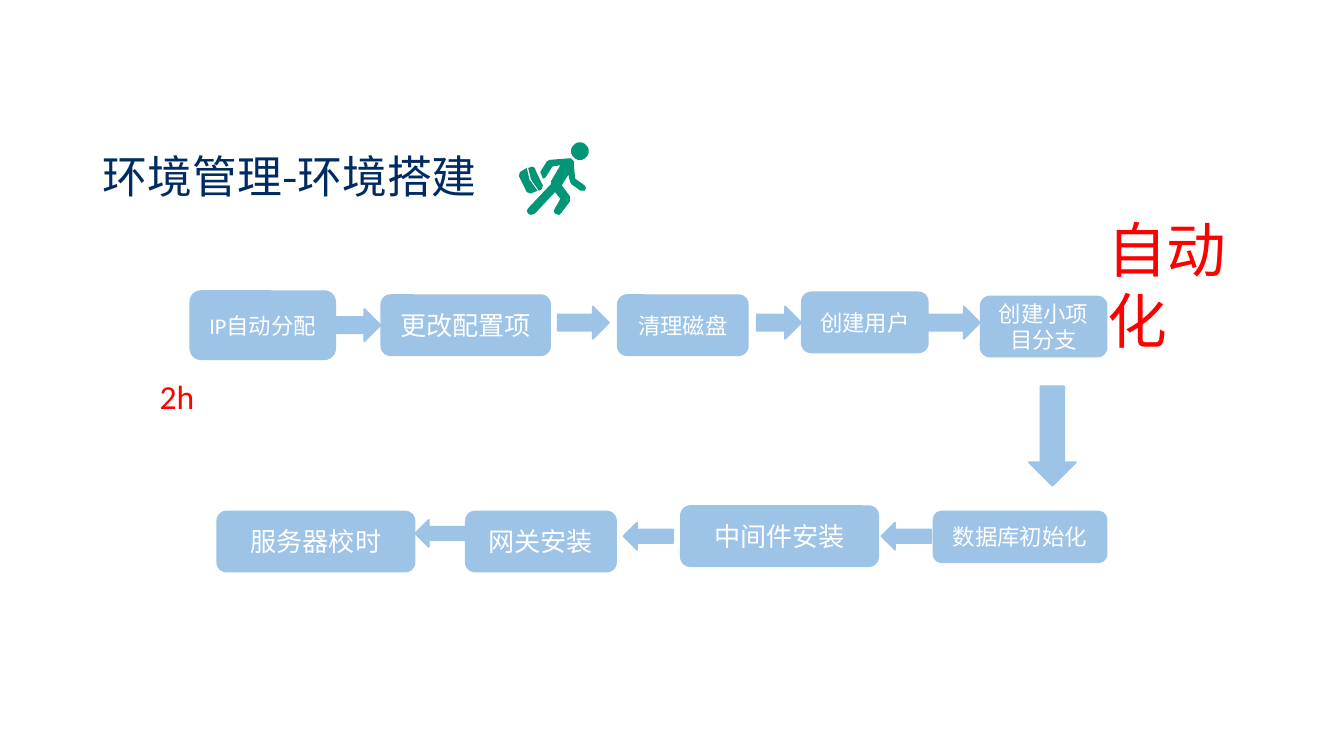
from math import cos, pi, sin

from pptx import Presentation
from pptx.dml.color import RGBColor
from pptx.enum.shapes import MSO_SHAPE
from pptx.enum.text import MSO_ANCHOR, PP_ALIGN
from pptx.util import Pt

ROUND_RECT = MSO_SHAPE.ROUNDED_RECTANGLE
RIGHT, LEFT = MSO_SHAPE.RIGHT_ARROW, MSO_SHAPE.LEFT_ARROW
MIDDLE, CENTER = MSO_ANCHOR.MIDDLE, PP_ALIGN.CENTER

NAVY = RGBColor(0x00, 0x2B, 0x62)
BLUE = RGBColor(0x9D, 0xC3, 0xE6)
GREEN = RGBColor(0x02, 0x96, 0x76)
RED = RGBColor(0xFF, 0x00, 0x00)
WHITE = RGBColor(0xFF, 0xFF, 0xFF)
BODY_FONT, TITLE_FONT = "Calibri", "Noto Sans CJK SC"

STEP_H = 33.1
# Steps: text, x, y, width, height, text size; arrows: x, y, width
TOP_STEPS = [
    ("IP自动分配", 0, 0, 78.5, 37.4, 12),
    ("更改配置项", 102.3, 2.2, 91.4, STEP_H, 14),
    ("清理磁盘", 229, 2.2, 70.6, STEP_H, 12),
    ("创建用户", 327.6, 0.7, 68.4, STEP_H, 12),
    ("创建小项目分支", 423.4, 2.9, 68.4, STEP_H, 12),
]
TOP_ARROWS = [(78.5, 10.1, 23.8), (197.3, 8.7, 27.4),
              (303.9, 8.7, 23.8), (396, 8.7, 27.4)]
BOTTOM_STEPS = [
    ("数据库初始化", 383.8, 2.9, 93.6, 28.1, 12),
    ("中间件安装", 248.4, 0, 106.6, STEP_H, 14),
    ("网关安装", 133.2, 2.9, 81.4, STEP_H, 14),
    ("服务器校时", 0, 2.9, 106.6, STEP_H, 14),
]
BOTTOM_ARROWS = [(356.4, 9.4, 26.6), (218.2, 9.4, 26.6), (106.6, 7.9, 26.6)]

# Runner outlines, in hundredths of an inch
BODY = [(23, 13), (36, 12), (39, 12), (41, 14), (41, 17), (42, 27), (49, 32),
        (50, 34), (49, 36), (46, 36), (39, 31), (38, 29), (37, 24), (32, 32),
        (38, 40), (38, 44), (32, 52), (30, 54), (27, 53), (26, 51), (27, 49),
        (31, 42), (27, 37), (12, 53), (9, 54), (7, 53), (6, 51), (7, 49),
        (24, 31), (24, 29), (31, 17), (25, 18), (20, 26), (18, 27), (16, 22),
        (21, 14)]
CASE_SIDE = [(6, 19), (8, 28), (9, 29), (14, 36), (9, 38), (6, 37), (0, 25),
             (1, 22)]
CASE_FRONT = [(7, 19), (10, 18), (12, 19), (13, 22), (16, 28), (18, 32),
              (17, 35), (15, 36), (10, 29), (9, 27)]
HEAD = [(45.5 + 6.5 * cos(i * pi / 12), 6.5 + 6.5 * sin(i * pi / 12))
        for i in range(24)]


def write(tf, text, size, color, font=BODY_FONT):
    p = tf.paragraphs[0]
    r = p.add_run()
    r.text = text
    r.font.size = Pt(size)
    r.font.name = font
    r.font.color.rgb = color
    return p


def add_text(s, box, text, size, color, font=BODY_FONT, wrap=True):
    tf = s.shapes.add_textbox(*map(Pt, box)).text_frame
    tf.word_wrap = wrap
    return tf, write(tf, text, size, color, font)


def add_block(s, kind, box):
    sp = s.shapes.add_shape(kind, *map(Pt, box))
    sp.shadow.inherit = False
    sp.fill.solid()
    sp.fill.fore_color.rgb = BLUE
    sp.line.fill.background()
    return sp


def add_step(s, box, text, size):
    tf = add_block(s, ROUND_RECT, box).text_frame
    tf.word_wrap = True
    tf.vertical_anchor = MIDDLE
    write(tf, text, size, WHITE).alignment = CENTER


def add_arrow(s, kind, box):
    sp = add_block(s, kind, box)
    sp.line.color.rgb = BLUE
    sp.line.width = Pt(1)
    return sp


def add_title(s, box):
    tf, p = add_text(s, box, "环境管理-环境搭建", 24, NAVY, TITLE_FONT)
    tf.vertical_anchor = MIDDLE
    tf.margin_left = tf.margin_right = Pt(5.4)
    tf.margin_top = tf.margin_bottom = Pt(2.7)
    p.line_spacing = 0.9


def add_runner(s, x, y):
    fb = s.shapes.build_freeform(*BODY[0], scale=Pt(0.72))
    fb.add_line_segments(BODY[1:])
    for outline in (CASE_SIDE, CASE_FRONT, HEAD):
        fb.move_to(*outline[0])
        fb.add_line_segments(outline[1:])
    sp = fb.convert_to_shape(Pt(x), Pt(y))
    sp.shadow.inherit = False
    sp.fill.solid()
    sp.fill.fore_color.rgb = GREEN
    sp.line.fill.background()


def add_flow_row(s, x, y, steps, arrows, kind, arrow_h):
    for text, dx, dy, w, h, size in steps:
        add_step(s, (x + dx, y + dy, w, h), text, size)
    for dx, dy, w in arrows:
        add_arrow(s, kind, (x + dx, y + dy, w, arrow_h))


def main():
    prs = Presentation()
    prs.slide_width, prs.slide_height = Pt(720), Pt(405)
    s = prs.slides.add_slide(prs.slide_layouts[6])

    # Heading with icon
    add_title(s, (49.7, 76.3, 624.2, 39.6))
    add_runner(s, 277.9, 76.3)

    # Process: rightwards, down, then back leftwards
    add_flow_row(s, 101.5, 155.5, TOP_STEPS, TOP_ARROWS, RIGHT, 17.3)
    add_arrow(s, RIGHT, (537.1, 221, 53.3, 25.2)).rotation = 90
    add_flow_row(s, 115.9, 270.7, BOTTOM_STEPS, BOTTOM_ARROWS, LEFT, 14.4)

    # Red remarks
    add_text(s, (78.4, 198, 82.8, 28.8), "2h", 18, RED)
    add_text(s, (586.1, 110.2, 110.2, 46.1), "自动化", 32, RED, wrap=False)

    prs.save("out.pptx")


if __name__ == "__main__":
    main()
